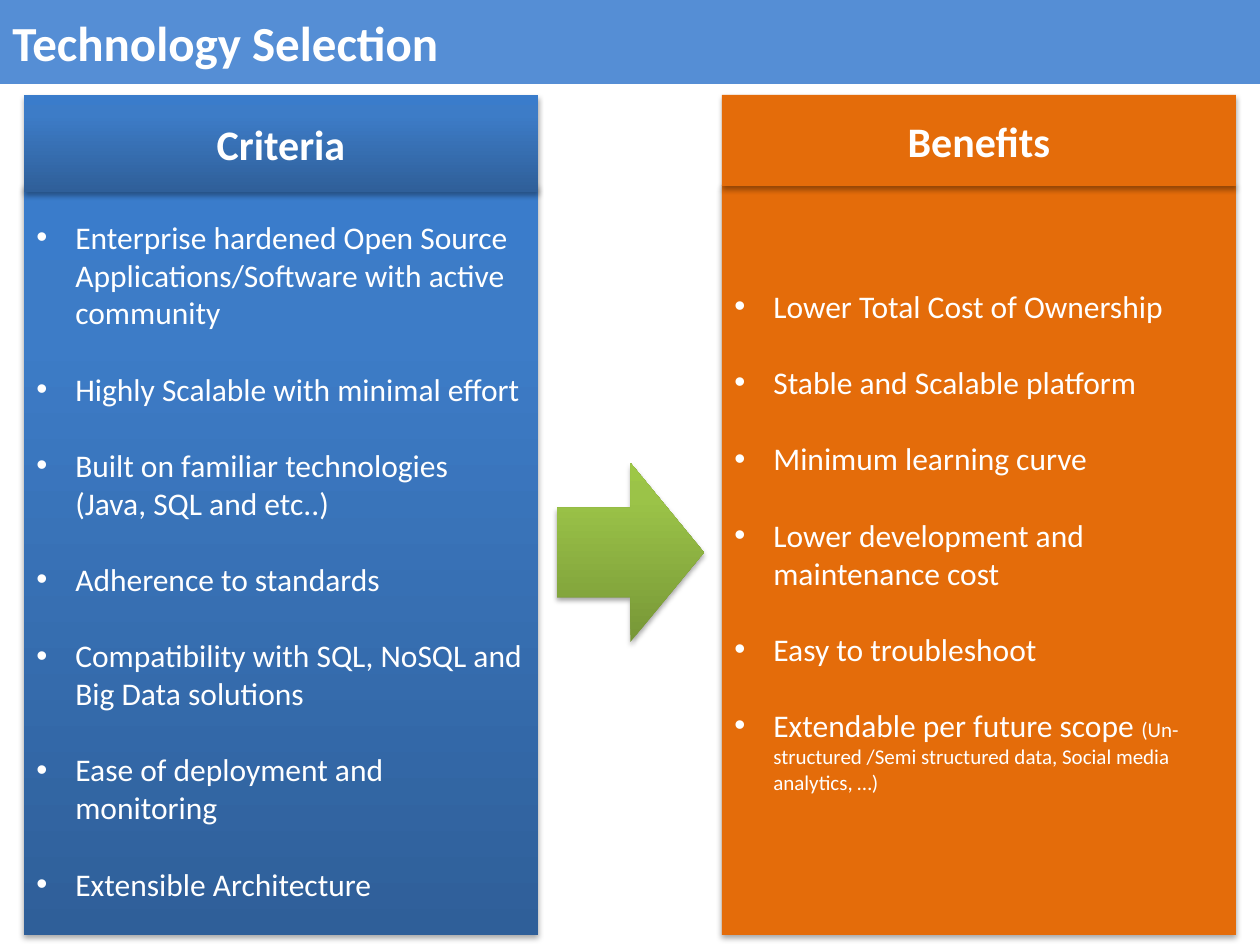
from dataclasses import dataclass
from typing import Optional

from lxml.etree import SubElement
from pptx import Presentation
from pptx.dml.color import RGBColor
from pptx.enum.shapes import MSO_SHAPE
from pptx.enum.text import MSO_ANCHOR, PP_ALIGN
from pptx.oxml.ns import qn
from pptx.util import Emu, Pt

EMU_PER_INCH = 914400
PX_PER_INCH = 126
BLUE = ("2F5F99", "3D7CC7", "3A7CCB")
GREEN = ("779737", "9BC348", "9DC746")
ORANGE = ("E46C0A",)
WHITE = "FFFFFF"
STOPS = (0, 80, 100)
BULLET_INDENT = 39
LINE_HEIGHT = Pt(22)
SMALL_SIZE = 12


@dataclass(frozen=True)
class Box:
    left: int
    top: int
    width: int
    height: int


@dataclass(frozen=True)
class Panel:
    heading: str
    left: int
    heading_height: int
    colours: tuple[str, ...]
    items: tuple[str, ...]
    small_print: Optional[str] = None
    bottom_inset: int = 6


PANELS = (
    Panel("Criteria", 24, 97, BLUE, (
        "Enterprise hardened Open Source Applications/Software with active community",
        "Highly Scalable with minimal effort",
        "Built on familiar technologies (Java, SQL and etc..)",
        "Adherence to standards",
        "Compatibility with SQL, NoSQL and Big Data solutions",
        "Ease of deployment and monitoring",
        "Extensible Architecture",
    )),
    Panel("Benefits", 722, 91, ORANGE, (
        "Lower Total Cost of Ownership",
        "Stable and Scalable platform",
        "Minimum learning curve",
        "Lower development and maintenance cost",
        "Easy to troubleshoot",
        "Extendable per future scope ",
    ), "(Un- structured /Semi structured data, Social media analytics, …)", 45),
)


def px(value: int) -> Emu:
    return Emu(round(value * EMU_PER_INCH / PX_PER_INCH))


def colour(value: str) -> RGBColor:
    return RGBColor.from_string(value)


def set_attributes(target, values: dict) -> None:
    for name, value in values.items():
        setattr(target, name, value)


def fill_shape(shape, colours: tuple[str, ...]) -> None:
    if len(colours) == 1:
        shape.fill.solid()
        shape.fill.fore_color.rgb = colour(colours[0])
        return
    shape.fill.gradient()
    shape.fill.gradient_angle = 90
    stop_list = shape._element.spPr.find(qn("a:gradFill")).find(qn("a:gsLst"))
    for stop in list(stop_list):
        stop_list.remove(stop)
    for position, value in zip(STOPS, colours):
        stop = SubElement(stop_list, qn("a:gs"), pos=str(position * 1000))
        SubElement(stop, qn("a:srgbClr"), val=value)


def add_shadow(shape) -> None:
    effects = shape._element.spPr.find(qn("a:effectLst"))
    shadow = SubElement(effects, qn("a:outerShdw"), blurRad=str(Pt(3.1)),
                        dist=str(Pt(1.8)), dir="5400000", rotWithShape="0")
    black = SubElement(shadow, qn("a:srgbClr"), val="000000")
    SubElement(black, qn("a:alpha"), val="35000")


def draw_shape(slide, box: Box, colours: tuple[str, ...],
               kind=MSO_SHAPE.RECTANGLE, shadowed: bool = True):
    shape = slide.shapes.add_shape(
        kind, px(box.left), px(box.top), px(box.width), px(box.height))
    fill_shape(shape, colours)
    shape.line.fill.background()
    shape.shadow.inherit = False
    if shadowed:
        add_shadow(shape)
    set_attributes(shape.text_frame, {
        "word_wrap": True, "vertical_anchor": MSO_ANCHOR.MIDDLE})
    return shape


def add_run(paragraph, text: str, size: int, bold: bool = False) -> None:
    run = paragraph.add_run()
    run.text = text
    set_attributes(run.font, {"name": "Calibri", "size": Pt(size), "bold": bold})
    run.font.color.rgb = colour(WHITE)


def write_heading(shape, text: str, size: int, alignment: PP_ALIGN) -> None:
    paragraph = shape.text_frame.paragraphs[0]
    paragraph.alignment = alignment
    add_run(paragraph, text, size, bold=True)


def add_bullet(paragraph) -> None:
    properties = paragraph._p.get_or_add_pPr()
    properties.set("marL", str(px(BULLET_INDENT)))
    properties.set("indent", str(-px(BULLET_INDENT)))
    SubElement(properties, qn("a:buFont"), typeface="Arial")
    SubElement(properties, qn("a:buChar"), char="•")


def draw_list(slide, panel: Panel) -> None:
    shape = draw_shape(slide, Box(panel.left, 185, 514, 750), panel.colours)
    frame = shape.text_frame
    frame.margin_bottom = px(panel.bottom_inset)
    for index, item in enumerate(panel.items):
        paragraph = frame.add_paragraph() if index else frame.paragraphs[0]
        set_attributes(paragraph, {
            "alignment": PP_ALIGN.LEFT,
            "space_before": LINE_HEIGHT if index else Pt(0)})
        add_bullet(paragraph)
        add_run(paragraph, item, 18)
    if panel.small_print:
        add_run(paragraph, panel.small_print, SMALL_SIZE)


def draw_heading(slide, panel: Panel) -> None:
    box = Box(panel.left, 95, 514, panel.heading_height)
    shape = draw_shape(slide, box, panel.colours)
    write_heading(shape, panel.heading, 24, PP_ALIGN.CENTER)


def main() -> None:
    presentation = Presentation()
    set_attributes(presentation, {"slide_width": px(1260), "slide_height": px(945)})
    slide = presentation.slides.add_slide(presentation.slide_layouts[6])
    title = draw_shape(slide, Box(0, 0, 1260, 84), ("558ED5",), shadowed=False)
    write_heading(title, "Technology Selection", 28, PP_ALIGN.LEFT)
    for panel in PANELS:
        draw_list(slide, panel)
    draw_shape(slide, Box(557, 463, 147, 179), GREEN, MSO_SHAPE.RIGHT_ARROW)
    for panel in PANELS:
        draw_heading(slide, panel)
    presentation.save("out.pptx")


if __name__ == "__main__":
    main()
